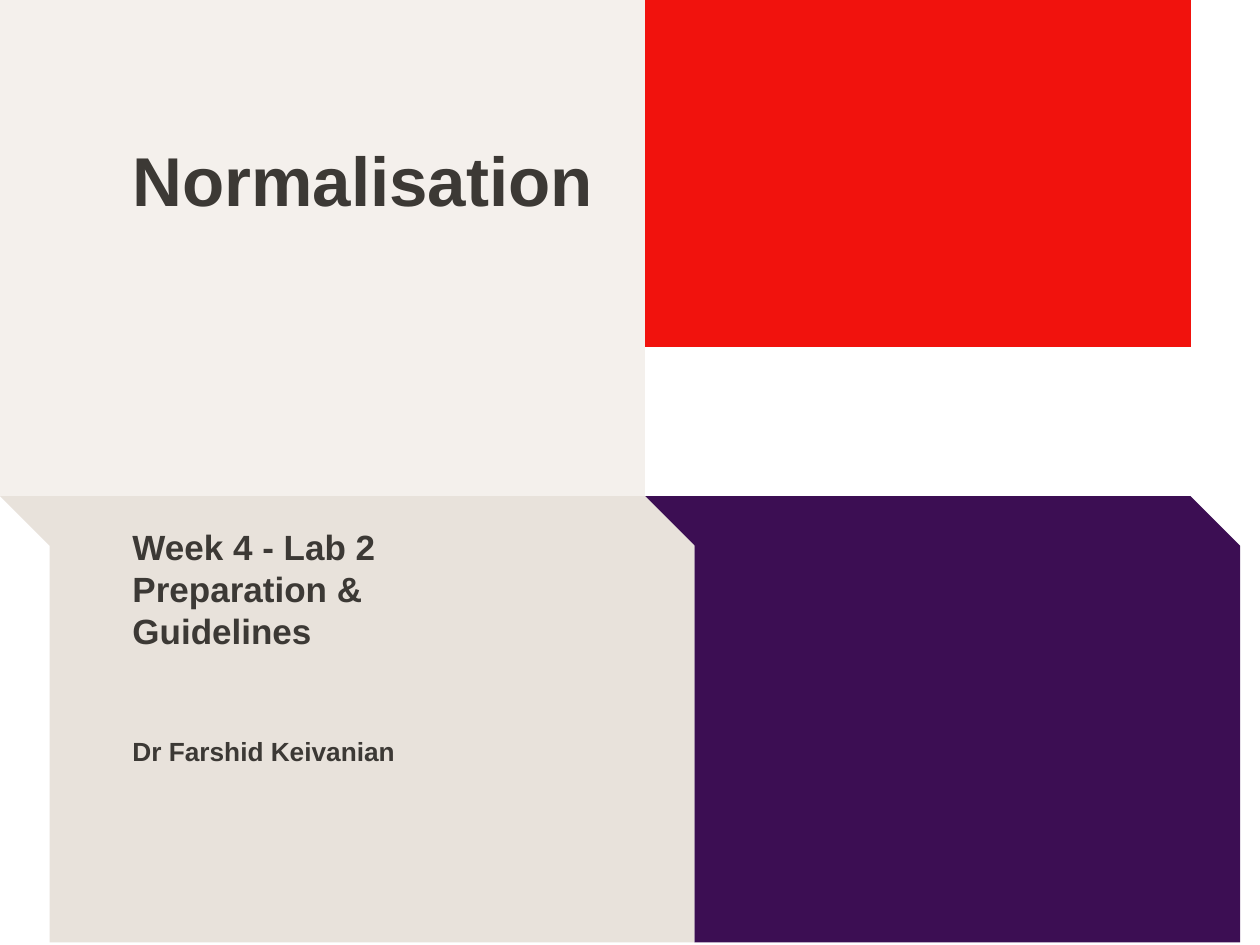
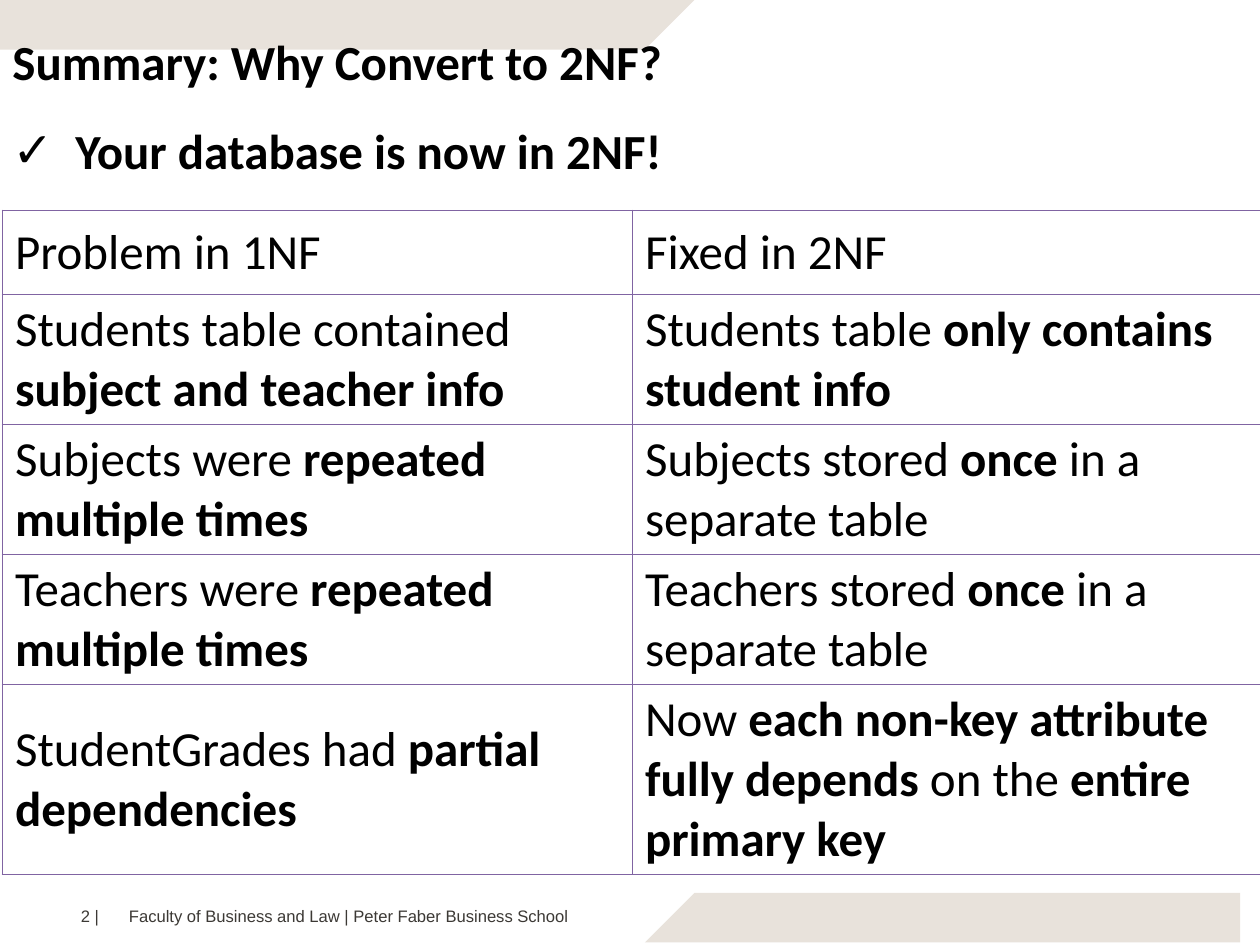
from lxml import etree
from pptx import Presentation
from pptx.dml.color import RGBColor as Rgb
from pptx.enum.text import MSO_ANCHOR as Anchor, MSO_AUTO_SIZE as Auto, PP_ALIGN as Align
from pptx.oxml.ns import qn
from pptx.util import Cm, Pt

WIDE, HIGH = 25.4, 19.05
MID = WIDE / 2
FOLD = 1.32
BAND = 1.27

SAND, CREAM, RED, PLUM = "E8E2DB", "F4F0EC", "F1120D", "3C0E53"
INK, BLACK, RULE = "3C3935", "000000", "8064A2"

COVER = dict(name="Arial", size=Pt(39.5), bold=True, color=INK)
TOPIC = COVER | dict(size=Pt(20))
NAME = COVER | dict(size=Pt(15))
FOOT = dict(name="Arial", size=Pt(9.5), bold=False, color=INK)
HEAD = dict(name="Calibri", size=Pt(28), bold=True, color=BLACK)
CELL = HEAD | dict(bold=False)

# Bold parts stand between asterisks.
ROWS = [
    ("Problem in 1NF", "Fixed in 2NF"),
    ("Students table contained *subject and teacher info*",
     "Students table *only contains student info*"),
    ("Subjects were *repeated multiple times*",
     "Subjects stored *once* in a separate table"),
    ("Teachers were *repeated multiple times*",
     "Teachers stored *once* in a separate table"),
    ("StudentGrades had *partial dependencies*",
     "Now *each non-key attribute fully depends* on the *entire primary key*"),
]
HEIGHTS = [1.7, 2.62, 2.62, 2.62, 3.83]


def color(code):
    return Rgb.from_string(code)


def style(run, form):
    for key, value in form.items():
        if key == "color":
            run.font.color.rgb = color(value)
        else:
            setattr(run.font, key, value)


def node(parent, tag, **attrs):
    """Append a drawing element with the given attributes."""
    return etree.SubElement(parent, qn(tag), {k: str(v) for k, v in attrs.items()})


def shape(slide, x, y, points, fill):
    """Draw a filled outline; points are relative to x, y."""
    spots = [(x + a, y + b) for a, b in points]
    draft = slide.shapes.build_freeform(*spots[0], scale=Cm(1))
    draft.add_line_segments(spots[1:], close=True)
    form = draft.convert_to_shape()
    form.shadow.inherit = False
    form.fill.solid()
    form.fill.fore_color.rgb = color(fill)
    form.line.fill.background()


def block(slide, x, y, w, h, fill):
    shape(slide, x, y, [(0, 0), (w, 0), (w, h), (0, h)], fill)


def panel(slide, x, y, w, h, fill):
    """Draw a panel whose top edge folds back to the left."""
    shape(slide, x, y, [(0, 0), (w, 0), (w + FOLD, FOLD), (w + FOLD, h),
                        (FOLD, h), (FOLD, FOLD)], fill)


def write(box, area, text, form, inset=0.0, lines=1.0):
    """Place a box and set its only paragraph, which is returned."""
    box.left, box.top, box.width, box.height = map(Cm, area)
    frame = box.text_frame
    setup = dict(word_wrap=True, auto_size=Auto.NONE, vertical_anchor=Anchor.TOP,
                 margin_left=Cm(inset), margin_right=Cm(inset),
                 margin_top=0, margin_bottom=0)
    for key, value in setup.items():
        setattr(frame, key, value)
    para = frame.paragraphs[0]
    para.alignment, para.line_spacing, para.space_before = Align.LEFT, lines, Pt(0)
    run = para.add_run()
    run.text = text
    style(run, form)
    return para


def label(slide, area, text, form):
    return write(slide.shapes.add_textbox(0, 0, 0, 0), area, text, form)


def bands(slide):
    wide = MID + BAND
    shape(slide, 0, 0, [(0, 0), (wide, 0), (MID, BAND), (0, BAND)], SAND)
    shape(slide, MID, HIGH - BAND,
          [(BAND, 0), (MID, 0), (MID, BAND), (0, BAND)], SAND)


def footer(slide, page):
    text = f"{page} |\tFaculty of Business and Law | Peter Faber Business School"
    para = label(slide, (1.63, 18.26, 10.3, 0.48), text, FOOT)
    tabs = node(para._p.get_or_add_pPr(), "a:tabLst")
    node(tabs, "a:tab", pos=Cm(0.97), algn="l")


def border(cell):
    props = cell._tc.get_or_add_tcPr()
    for side in ("a:lnL", "a:lnR", "a:lnT", "a:lnB"):
        line = node(props, side, w=Pt(1))
        node(node(line, "a:solidFill"), "a:srgbClr", val=RULE)


def fill(cell, text):
    border(cell)
    cell.fill.background()
    cell.vertical_anchor = Anchor.MIDDLE
    cell.margin_top = cell.margin_bottom = Cm(0.1)
    para = cell.text_frame.paragraphs[0]
    for i, part in enumerate(text.split("*")):
        if part:
            run = para.add_run()
            run.text = part
            style(run, CELL | dict(bold=i % 2 == 1))


def grid(slide, x, y, w):
    """Build the comparison table."""
    frame = slide.shapes.add_table(len(ROWS), 2, Cm(x), Cm(y), Cm(w), Cm(sum(HEIGHTS)))
    table = frame.table
    table.first_row = table.horz_banding = False
    for r, row in enumerate(ROWS):
        table.rows[r].height = Cm(HEIGHTS[r])
        for c, text in enumerate(row):
            fill(table.cell(r, c), text)


def cover(deck):
    slide = deck.slides.add_slide(deck.slide_layouts[0])
    half, edge = HIGH / 2, WIDE - FOLD
    block(slide, MID, 0, edge - MID, 6.86, RED)
    panel(slide, MID, half, edge - MID, half, PLUM)
    block(slide, 0, 0, MID, half, CREAM)
    panel(slide, 0, half, MID, half, SAND)
    left = 2.67
    # The panels go behind the text.
    tree = slide.shapes._spTree
    for holder in list(slide.placeholders):
        tree.append(holder._element)
    write(slide.shapes.title, (left, 2.77, 9.8, 1.7), "Normalisation", COVER)
    write(slide.placeholders[1], (left, 10.6, 5.13, 2.6),
          "Week 4 - Lab 2 Preparation & Guidelines", TOPIC)
    label(slide, (left, 14.82, 6.88, 0.7), "Dr Farshid Keivanian", NAME)


def summary(deck):
    slide = deck.slides.add_slide(deck.slide_layouts[1])
    bands(slide)
    tree = slide.shapes._spTree
    for holder in list(slide.placeholders):
        tree.append(holder._element)
    top, step = 0.05, 1.79
    write(slide.shapes.title, (0, top, 19.48, step),
          "Summary: Why Convert to 2NF?", HEAD, 0.25, 1.5)
    para = write(slide.placeholders[1], (0, top + step, 19.48, step),
                 "Your database is now in 2NF!", HEAD, 0.25, 1.5)
    props = para._p.get_or_add_pPr()
    props.set("marL", str(Cm(1.27)))
    props.set("indent", str(Cm(-1.27)))
    node(props, "a:buChar", char="✓")
    grid(slide, 0.05, 4.24, WIDE)
    footer(slide, 2)


def main():
    deck = Presentation()
    deck.slide_width, deck.slide_height = Cm(WIDE), Cm(HIGH)
    cover(deck)
    summary(deck)
    deck.save("out.pptx")


if __name__ == "__main__":
    main()
